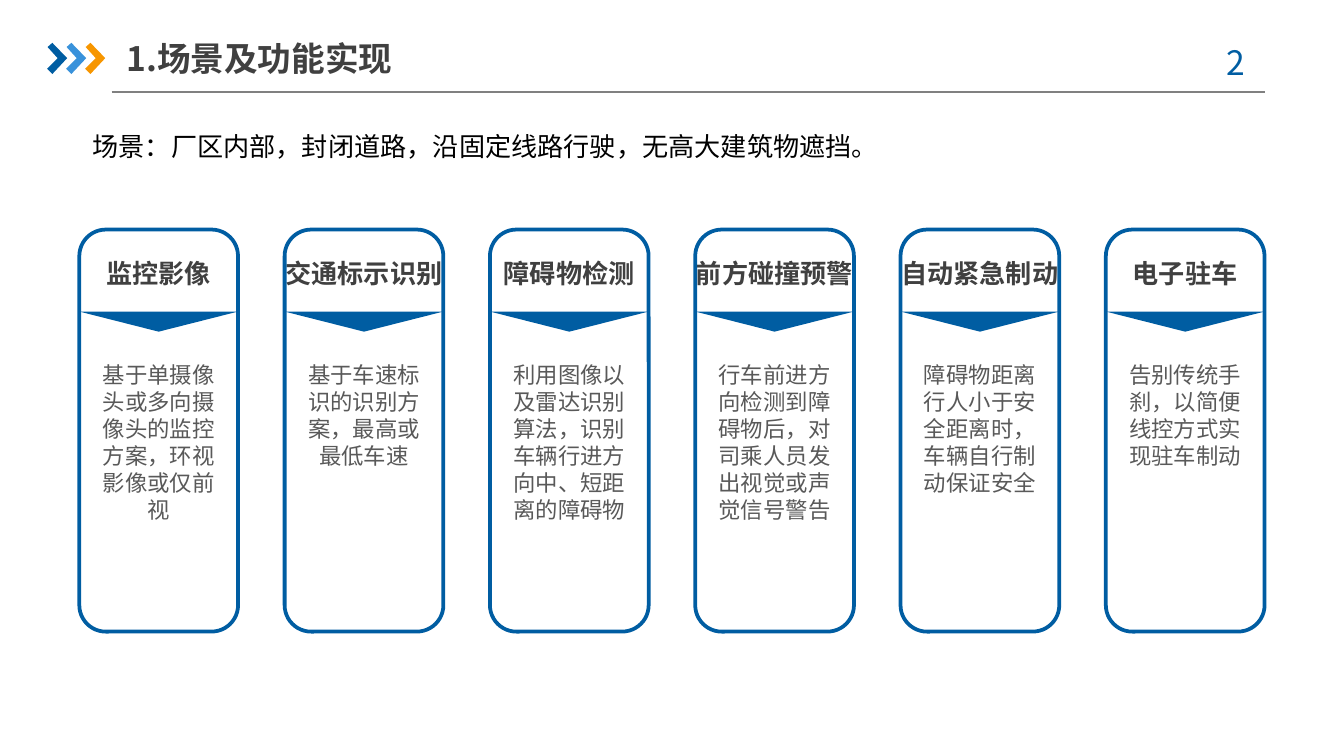
"""Build a slide with six feature cards for a self-driving vehicle on a factory site."""
from lxml import etree
from pptx import Presentation
from pptx import util as u
from pptx.dml.color import RGBColor
from pptx.enum import shapes, text
from pptx.oxml import ns

FONT = "Noto Sans CJK SC"
BLUE, LIGHT_BLUE, ORANGE = "005DA2", "3992DB", "F79600"
BLACK, DARK, MID, GREY = "000000", "404040", "595959", "808080"

TITLE = "1.场景及功能实现"
PAGE_NUMBER = "2 "
SCENE = "场景：厂区内部，封闭道路，沿固定线路行驶，无高大建筑物遮挡。"
CARDS = [
    ("监控影像", "基于单摄像头或多向摄像头的监控方案，环视影像或仅前视"),
    ("交通标示识别", "基于车速标识的识别方案，最高或最低车速"),
    ("障碍物检测", "利用图像以及雷达识别算法，识别车辆行进方向中、短距离的障碍物"),
    ("前方碰撞预警", "行车前进方向检测到障碍物后，对司乘人员发出视觉或声觉信号警告"),
    ("自动紧急制动", "障碍物距离行人小于安全距离时，车辆自行制动保证安全"),
    ("电子驻车", "告别传统手刹，以简便线控方式实现驻车制动"),
]
CHEVRON = [(0.9, 0.89), (0.99, 0.81), (1.27, 1.1), (0.99, 1.4), (0.89, 1.3), (1.09, 1.1)]
CHEVRON_STEP = 0.36
CARD_LEFT, CARD_STEP, CARD_WIDTH = 1.5, 3.88, 3
HEADING_WIDTH = 4.27


def color(value):
    return RGBColor.from_string(value)


def add_text(page, words, left, top, width, height, size=14, fill=BLACK, bold=False,
             align=text.PP_ALIGN.LEFT, anchor=text.MSO_ANCHOR.TOP, wrap=True, inset=0.25):
    box = page.shapes.add_textbox(u.Cm(left), u.Cm(top), u.Cm(width), u.Cm(height))
    frame = box.text_frame
    frame.word_wrap = wrap
    frame.vertical_anchor = anchor
    frame.margin_left = frame.margin_right = u.Cm(inset)
    para = frame.paragraphs[0]
    para.alignment = align
    span = para.add_run()
    span.text = words
    span.font.name = FONT
    span.font.size = u.Pt(size)
    span.font.bold = bold
    span.font.color.rgb = color(fill)
    etree.SubElement(span._r.get_or_add_rPr(), ns.qn("a:ea"), typeface=FONT)


def paint(shape, fill=None, line=None):
    shape.shadow.inherit = False
    if fill:
        shape.fill.solid()
        shape.fill.fore_color.rgb = color(fill)
    else:
        shape.fill.background()
    if line:
        shape.line.color.rgb = color(line)
        shape.line.width = u.Pt(2)
    else:
        shape.line.fill.background()


def add_preset(page, kind, left, top, width, height, **style):
    shape = page.shapes.add_shape(kind, u.Cm(left), u.Cm(top), u.Cm(width), u.Cm(height))
    paint(shape, **style)


def add_header(page):
    rule = page.shapes.add_connector(
        shapes.MSO_CONNECTOR.STRAIGHT, u.Cm(2.11), u.Cm(1.74), u.Cm(23.9), u.Cm(1.74))
    rule.line.color.rgb = color(GREY)
    rule.line.width = u.Pt(0.75)
    etree.SubElement(rule._element.spPr, ns.qn("a:effectLst"))
    for index, fill in enumerate((BLUE, LIGHT_BLUE, ORANGE)):
        points = [(u.Cm(x + index * CHEVRON_STEP), u.Cm(y)) for x, y in CHEVRON]
        builder = page.shapes.build_freeform(*points[0])
        builder.add_line_segments(points[1:], close=True)
        paint(builder.convert_to_shape(), fill=fill)
    add_text(page, PAGE_NUMBER, 22.5, 0.66, 1.85, 1.02, size=18, fill=BLUE,
             align=text.PP_ALIGN.CENTER)
    add_text(page, TITLE, 2.39, 0.56, 5.92, 1.07, size=18, fill=DARK, bold=True,
             anchor=text.MSO_ANCHOR.MIDDLE, wrap=False, inset=0)


def add_card(page, left, heading, body):
    add_text(page, heading, left + (CARD_WIDTH - HEADING_WIDTH) / 2, 4.75, HEADING_WIDTH, 0.86,
             fill=DARK, bold=True, align=text.PP_ALIGN.CENTER)
    add_text(page, body, left, 6.71, CARD_WIDTH, 3.33, size=12, fill=MID,
             align=text.PP_ALIGN.CENTER)
    add_preset(page, shapes.MSO_SHAPE.FLOWCHART_MERGE, left, 5.89, CARD_WIDTH, 0.38, fill=BLUE)
    add_preset(page, shapes.MSO_SHAPE.ROUNDED_RECTANGLE, left, 4.34, CARD_WIDTH, 7.6, line=BLUE)


def main():
    deck = Presentation()
    deck.slide_width, deck.slide_height = u.Cm(25.4), u.Cm(14.29)
    page = deck.slides.add_slide(deck.slide_layouts[6])
    add_header(page)
    add_text(page, SCENE, 1.5, 2.34, 15.52, 0.86)
    for index, (heading, body) in enumerate(CARDS):
        add_card(page, CARD_LEFT + index * CARD_STEP, heading, body)
    deck.save("out.pptx")


if __name__ == "__main__":
    main()
